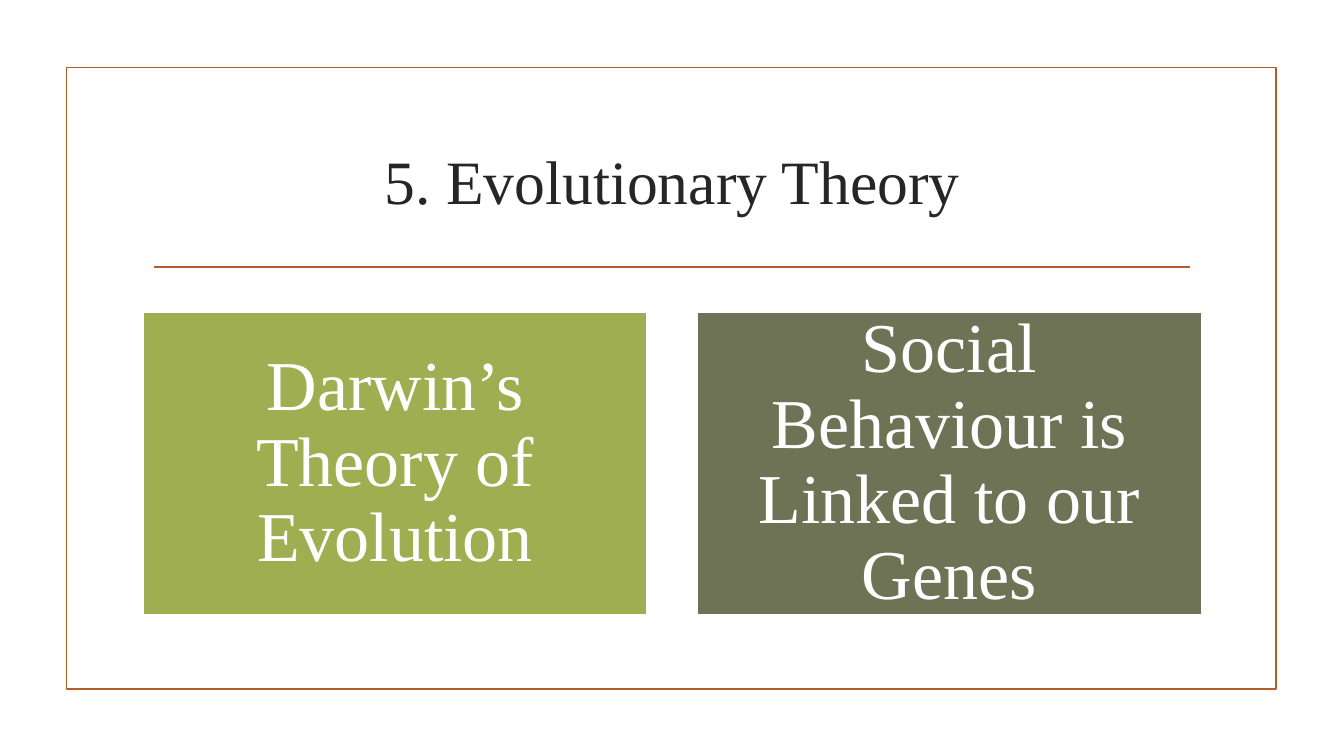
import pptx
import pptx.dml.color
import pptx.enum.shapes
import pptx.enum.text
import pptx.oxml
import pptx.util
from pptx.util import Cm, Pt

TITLE = "5. Evolutionary Theory"
CARDS = [
    ("Darwin’s Theory of Evolution", "9EAE51"),
    ("Social Behaviour is Linked to our Genes", "6E7355"),
]
FONT = "Times New Roman"
ACCENT, DARK, WHITE = "B15E28", "262626", "FFFFFF"

CONTENT_LEFT, CONTENT_WIDTH = 3.61, 26.67
CARD_TOP, CARD_HEIGHT, CARD_GAP = 7.87, 7.62, 1.27
CARD_WIDTH = (CONTENT_WIDTH - CARD_GAP * (len(CARDS) - 1)) / len(CARDS)
CARD_INSET = 0.53
RULE_LEFT, RULE_RIGHT, RULE_TOP = 3.89, 30, 6.73


def rgb(value):
    return pptx.dml.color.RGBColor.from_string(value)


def style_line(line, color):
    line.color.rgb = rgb(color)
    line.width = Pt(1.25)


def add_rectangle(slide, left, top, width, height, line_color):
    shape = slide.shapes.add_shape(
        pptx.enum.shapes.MSO_SHAPE.RECTANGLE, Cm(left), Cm(top), Cm(width), Cm(height))
    shape.shadow.inherit = False
    style_line(shape.line, line_color)
    return shape


def write_centred(text_frame, text, size, color):
    text_frame.word_wrap = True
    text_frame.vertical_anchor = pptx.enum.text.MSO_ANCHOR.MIDDLE
    paragraph = text_frame.paragraphs[0]
    paragraph.alignment = pptx.enum.text.PP_ALIGN.CENTER
    run = paragraph.add_run()
    run.text = text
    run.font.name = FONT
    run.font.size = Pt(size)
    run.font.color.rgb = rgb(color)
    return paragraph


def add_card(slide, index, text, color):
    left = CONTENT_LEFT + index * (CARD_WIDTH + CARD_GAP)
    card = add_rectangle(slide, left, CARD_TOP, CARD_WIDTH, CARD_HEIGHT, WHITE)
    card.fill.solid()
    card.fill.fore_color.rgb = rgb(color)
    frame = card.text_frame
    frame.margin_left = frame.margin_right = Cm(CARD_INSET)
    frame.margin_top = frame.margin_bottom = Cm(CARD_INSET)
    write_centred(frame, text, 50, WHITE).line_spacing = 0.9


def main():
    presentation = pptx.Presentation()
    presentation.slide_width, presentation.slide_height = Cm(33.87), Cm(19.05)
    slide = presentation.slides.add_slide(presentation.slide_layouts[5])

    add_rectangle(slide, 1.68, 1.7, 30.48, 15.67, ACCENT).fill.background()

    rule = slide.shapes.add_connector(
        pptx.enum.shapes.MSO_CONNECTOR.STRAIGHT,
        Cm(RULE_LEFT), Cm(RULE_TOP), Cm(RULE_RIGHT), Cm(RULE_TOP))
    style_line(rule.line, ACCENT)
    properties = rule._element.spPr
    properties.append(pptx.oxml.parse_xml(
        '<a:effectLst xmlns:a="http://schemas.openxmlformats.org/drawingml/2006/main"/>'))

    title = slide.shapes.title
    title.left, title.top = Cm(CONTENT_LEFT), Cm(2.72)
    title.width, title.height = Cm(CONTENT_WIDTH), Cm(3.63)
    write_centred(title.text_frame, TITLE, 44, DARK)

    for index, (text, color) in enumerate(CARDS):
        add_card(slide, index, text, color)

    presentation.save("out.pptx")


if __name__ == "__main__":
    main()
